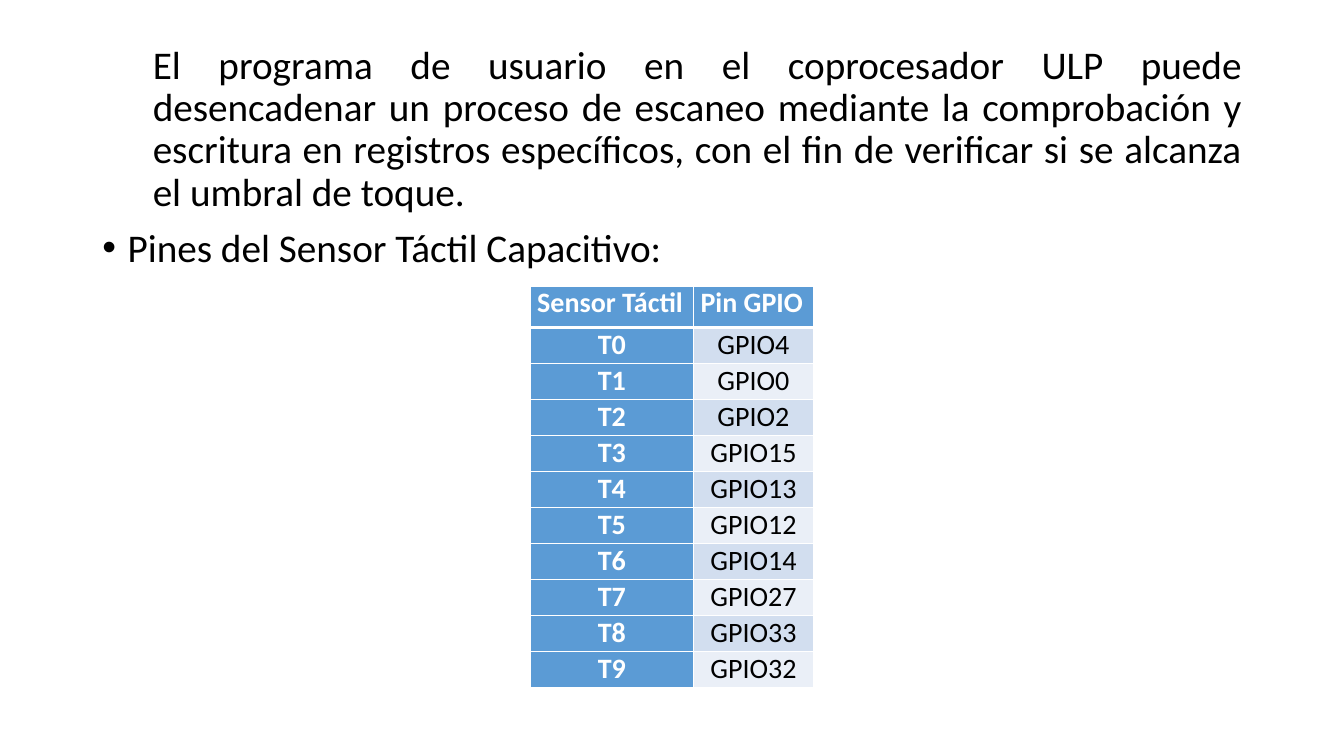
from dataclasses import dataclass

from lxml.etree import SubElement as add_element
from pptx import Presentation
from pptx.dml.color import RGBColor
from pptx.enum.text import MSO_ANCHOR as Anchor, PP_ALIGN as Align
from pptx.oxml.ns import qn
from pptx.util import Inches, Pt

PAGE_WIDTH, PAGE_HEIGHT = Inches(13.33), Inches(7.5)
FONT = "Calibri"
BLACK, WHITE, BLUE = "000000", "FFFFFF", "5B9BD5"
BANDS = ("D2DEEF", "EAEFF7")
THIN, THICK = 1, 3


@dataclass(frozen=True)
class BodyParagraph:
    text: str
    margin: float
    indent: float
    space_before: int
    bullet: str = ""


@dataclass(frozen=True)
class CellStyle:
    fill: str
    color: str
    bold: bool
    align: Align
    top: int = THIN
    bottom: int = THIN


BODY = (
    BodyParagraph(
        "El programa de usuario en el coprocesador ULP puede desencadenar un proceso "
        "de escaneo mediante la comprobación y escritura en registros específicos, "
        "con el fin de verificar si se alcanza el umbral de toque.",
        margin=0.5, indent=0, space_before=5),
    BodyParagraph("Pines del Sensor Táctil Capacitivo:",
                  margin=0.25, indent=-0.25, space_before=10, bullet="•"),
)
HEADINGS = ("Sensor Táctil", "Pin GPIO")
GPIO_PINS = (4, 0, 2, 15, 13, 12, 14, 27, 33, 32)
COLUMN_SHARES = (12.15, 8.93)
HEADER_SHARE, ROW_SHARE = 5.44, 4.77


def across(percent: float) -> int:
    """Share of the slide's width."""
    return round(PAGE_WIDTH * percent / 100)


def down(percent: float) -> int:
    """Share of the slide's height."""
    return round(PAGE_HEIGHT * percent / 100)


def rgb(code: str) -> RGBColor:
    return RGBColor.from_string(code)


def set_all(target, values: dict) -> None:
    for name, value in values.items():
        setattr(target, name, value)


def write(para, text: str, size: int, color: str, bold: bool = False) -> None:
    span = para.add_run()
    span.text = text
    set_all(span.font, {"name": FONT, "size": Pt(size), "bold": bold})
    span.font.color.rgb = rgb(color)


def add_body(page) -> None:
    box = page.shapes.add_textbox(across(6.88), down(5.33), across(86.25), down(84.8))
    frame = box.text_frame
    frame.word_wrap = True
    for index, item in enumerate(BODY):
        para = frame.add_paragraph() if index else frame.paragraphs[0]
        set_all(para, {"alignment": Align.JUSTIFY, "line_spacing": 0.9,
                       "space_before": Pt(item.space_before)})
        properties = para._p.get_or_add_pPr()
        properties.set("marL", str(Inches(item.margin)))
        properties.set("indent", str(Inches(item.indent)))
        if item.bullet:
            add_element(properties, qn("a:buFont"), typeface="Arial")
            add_element(properties, qn("a:buChar"), char=item.bullet)
        write(para, item.text, 28, BLACK)


def add_borders(cell, style: CellStyle) -> None:
    properties = cell._tc.get_or_add_tcPr()
    widths = {"lnL": THIN, "lnR": THIN, "lnT": style.top, "lnB": style.bottom}
    for side, width in widths.items():
        line = add_element(properties, qn(f"a:{side}"), w=str(Pt(width)))
        fill = add_element(line, qn("a:solidFill"))
        add_element(fill, qn("a:srgbClr"), val=WHITE)


def fill_cell(cell, text: str, style: CellStyle) -> None:
    add_borders(cell, style)
    set_all(cell, {"margin_left": Inches(0.07), "margin_right": Inches(0.07),
                   "margin_top": 0, "margin_bottom": 0,
                   "vertical_anchor": Anchor.TOP})
    cell.fill.solid()
    cell.fill.fore_color.rgb = rgb(style.fill)
    para = cell.text_frame.paragraphs[0]
    para.alignment = style.align
    write(para, text, 20, style.color, style.bold)


def add_pin_table(page) -> None:
    row_shares = [HEADER_SHARE] + [ROW_SHARE] * len(GPIO_PINS)
    table = page.shapes.add_table(
        len(row_shares), len(COLUMN_SHARES), across(39.45), down(37.87),
        across(sum(COLUMN_SHARES)), down(sum(row_shares))).table
    for column, share in zip(table.columns, COLUMN_SHARES):
        column.width = across(share)
    for row, share in zip(table.rows, row_shares):
        row.height = down(share)

    heading = CellStyle(BLUE, WHITE, True, Align.JUSTIFY, bottom=THICK)
    for column, text in enumerate(HEADINGS):
        fill_cell(table.cell(0, column), text, heading)
    for index, pin in enumerate(GPIO_PINS):
        top = THIN if index else THICK
        sensor = CellStyle(BLUE, WHITE, True, Align.CENTER, top)
        gpio = CellStyle(BANDS[index % 2], BLACK, False, Align.CENTER, top)
        fill_cell(table.cell(index + 1, 0), f"T{index}", sensor)
        fill_cell(table.cell(index + 1, 1), f"GPIO{pin}", gpio)


def main() -> None:
    deck = Presentation()
    set_all(deck, {"slide_width": PAGE_WIDTH, "slide_height": PAGE_HEIGHT})
    page = deck.slides.add_slide(deck.slide_layouts[6])
    add_body(page)
    add_pin_table(page)
    deck.save("out.pptx")


if __name__ == "__main__":
    main()
